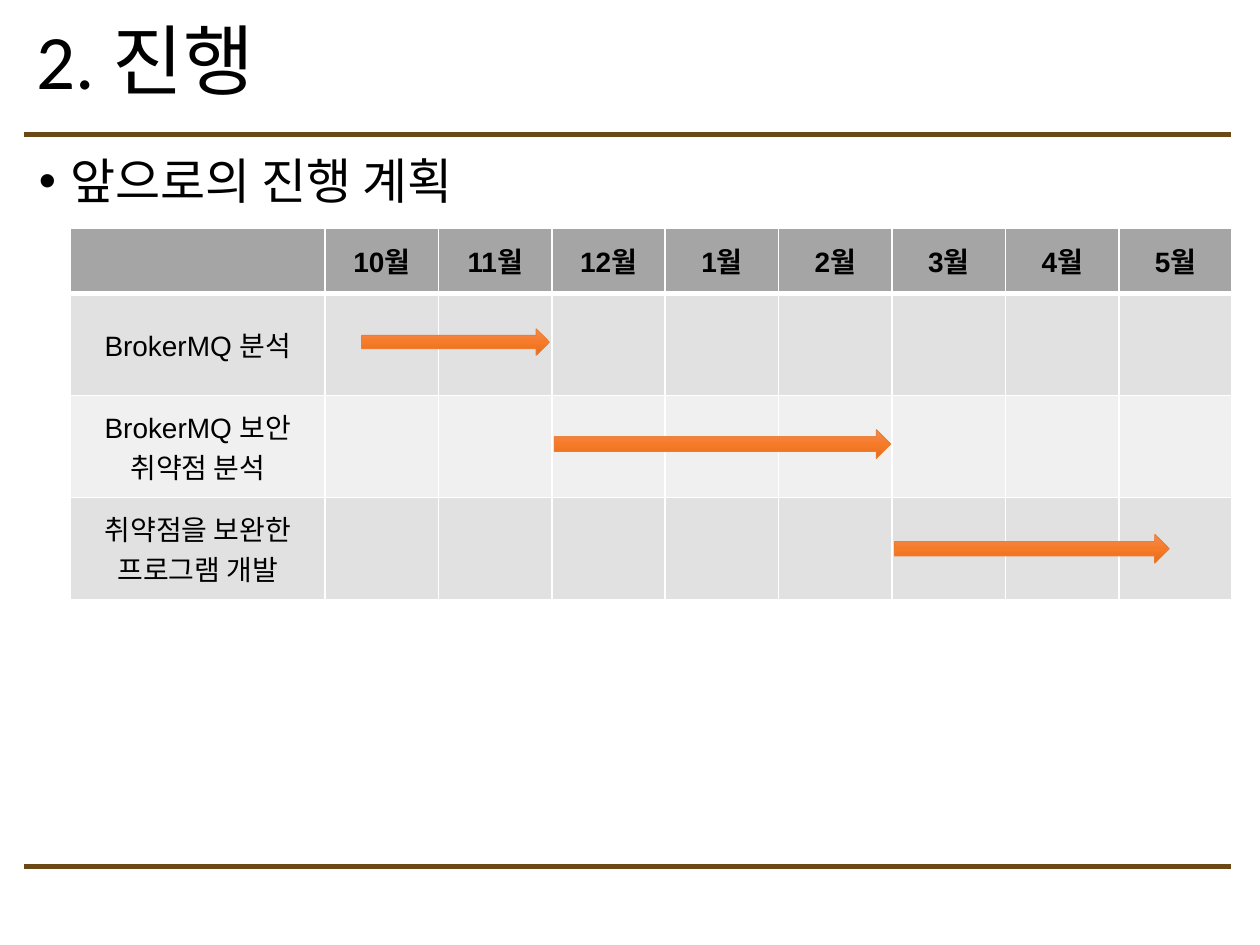
from copy import deepcopy

from lxml import etree
from pptx import Presentation
from pptx.dml.color import RGBColor
from pptx.enum.shapes import MSO_CONNECTOR as CONN, MSO_SHAPE as SHAPE
from pptx.enum.text import MSO_ANCHOR as ANCHOR, PP_ALIGN as ALIGN
from pptx.oxml.ns import qn
from pptx.util import Inches, Pt

BLACK = RGBColor(0x00, 0x00, 0x00)
BROWN = RGBColor(0x6B, 0x49, 0x17)
HEADER = RGBColor(0xA5, 0xA5, 0xA5)
BANDS = [RGBColor(0xE1, 0xE1, 0xE1), RGBColor(0xF0, 0xF0, 0xF0)]
ORANGE = RGBColor(0xED, 0x7D, 0x31)
ARROW_STOPS = [RGBColor(0xF1, 0x8C, 0x57), RGBColor(0xF6, 0x7B, 0x28),
               RGBColor(0xE5, 0x6C, 0x19)]

# Content
TITLE = "2. 진행"
HEADING = "앞으로의 진행 계획"
MONTHS = ["10월", "11월", "12월", "1월", "2월", "3월", "4월", "5월"]
# Task name, then the arrow's left, top, width, height
TASKS = [
    ("BrokerMQ 분석", (2.87, 2.61, 1.49, 0.21)),
    ("BrokerMQ 보안 취약점 분석", (4.4, 3.41, 2.67, 0.23)),
    ("취약점을 보완한 프로그램 개발", (7.1, 4.24, 2.18, 0.23)),
]
RULES_Y = [1.07, 6.88]
NAME_W, MONTH_W = 2.02, 0.9
HEADER_H, TASK_H = 0.52, 0.81


def write(tf, text, size, font, bold=False, align=ALIGN.LEFT, spacing=None, before=0):
    p = tf.paragraphs[0]
    p.alignment = align
    p.line_spacing = spacing
    p.space_before = Pt(before)
    r = p.add_run()
    r.text = text
    r.font.size, r.font.name, r.font.bold = Pt(size), font, bold
    r.font.color.rgb = BLACK
    return p


def add_text(s, box, text, anchor=ANCHOR.TOP, **fmt):
    tf = s.shapes.add_textbox(*map(Inches, box)).text_frame
    tf.word_wrap = True
    tf.vertical_anchor = anchor
    return write(tf, text, font="Calibri", spacing=0.9, **fmt)


def add_bullet(p, indent):
    pPr = p._p.get_or_add_pPr()
    pPr.set("marL", str(Inches(indent)))
    pPr.set("indent", str(-Inches(indent)))
    etree.SubElement(pPr, qn("a:buFont")).set("typeface", "Arial")
    etree.SubElement(pPr, qn("a:buChar")).set("char", "•")


def add_rule(s, y):
    line = s.shapes.add_connector(CONN.STRAIGHT, Inches(0.19), Inches(y),
                                  Inches(9.77), Inches(y))
    line.line.color.rgb = BROWN
    line.line.width = Pt(3)
    etree.SubElement(line._element.spPr, qn("a:effectLst"))


def set_borders(cell, **widths):
    tcPr = cell._tc.get_or_add_tcPr()
    for i, side in enumerate("LRTB"):
        ln = etree.Element(qn("a:ln" + side), w=str(Pt(widths.get(side, 1))))
        fill = etree.SubElement(ln, qn("a:solidFill"))
        etree.SubElement(fill, qn("a:srgbClr")).set("val", "FFFFFF")
        tcPr.insert(i, ln)


def add_schedule(s):
    grid = [[""] + MONTHS] + [[name] + [""] * len(MONTHS) for name, _ in TASKS]
    widths = [NAME_W] + [MONTH_W] * len(MONTHS)
    heights = [HEADER_H] + [TASK_H] * len(TASKS)
    table = s.shapes.add_table(len(heights), len(widths), Inches(0.56), Inches(1.81),
                               Inches(sum(widths)), Inches(sum(heights))).table
    for col, w in zip(table.columns, widths):
        col.width = Inches(w)
    for i, (row, h) in enumerate(zip(table.rows, heights)):
        row.height = Inches(h)
        for cell, text in zip(row.cells, grid[i]):
            cell.fill.solid()
            cell.fill.fore_color.rgb = BANDS[(i - 1) % 2] if i else HEADER
            cell.vertical_anchor = ANCHOR.MIDDLE
            set_borders(cell, T=3 if i == 1 else 1, B=1 if i else 3)
            if text:
                write(cell.text_frame, text, 16, "Arial", bold=i == 0,
                      align=ALIGN.CENTER)


def add_arrow(s, box):
    sp = s.shapes.add_shape(SHAPE.RIGHT_ARROW, *map(Inches, box))
    sp.shadow.inherit = False
    sp.line.color.rgb = ORANGE
    sp.line.width = Pt(0.5)
    sp.fill.gradient()
    sp.fill.gradient_angle = 270
    stops = sp._element.spPr.find(".//" + qn("a:gsLst"))
    stops.insert(1, deepcopy(stops[0]))
    for i, (stop, color) in enumerate(zip(sp.fill.gradient_stops, ARROW_STOPS)):
        stop.position = i / 2
        stop.color.rgb = color


def main():
    prs = Presentation()
    prs.slide_width, prs.slide_height = Inches(10), Inches(7.5)
    s = prs.slides.add_slide(prs.slide_layouts[6])

    # Frame and headings
    for y in RULES_Y:
        add_rule(s, y)
    add_text(s, (0.19, 0.05, 8, 0.93), TITLE, ANCHOR.MIDDLE, size=44)
    add_bullet(add_text(s, (0.21, 1.2, 8.62, 5.32), HEADING, size=28, before=10), 0.25)

    # Schedule table with one arrow per task
    add_schedule(s)
    for _, box in TASKS:
        add_arrow(s, box)

    prs.save("out.pptx")


if __name__ == "__main__":
    main()
